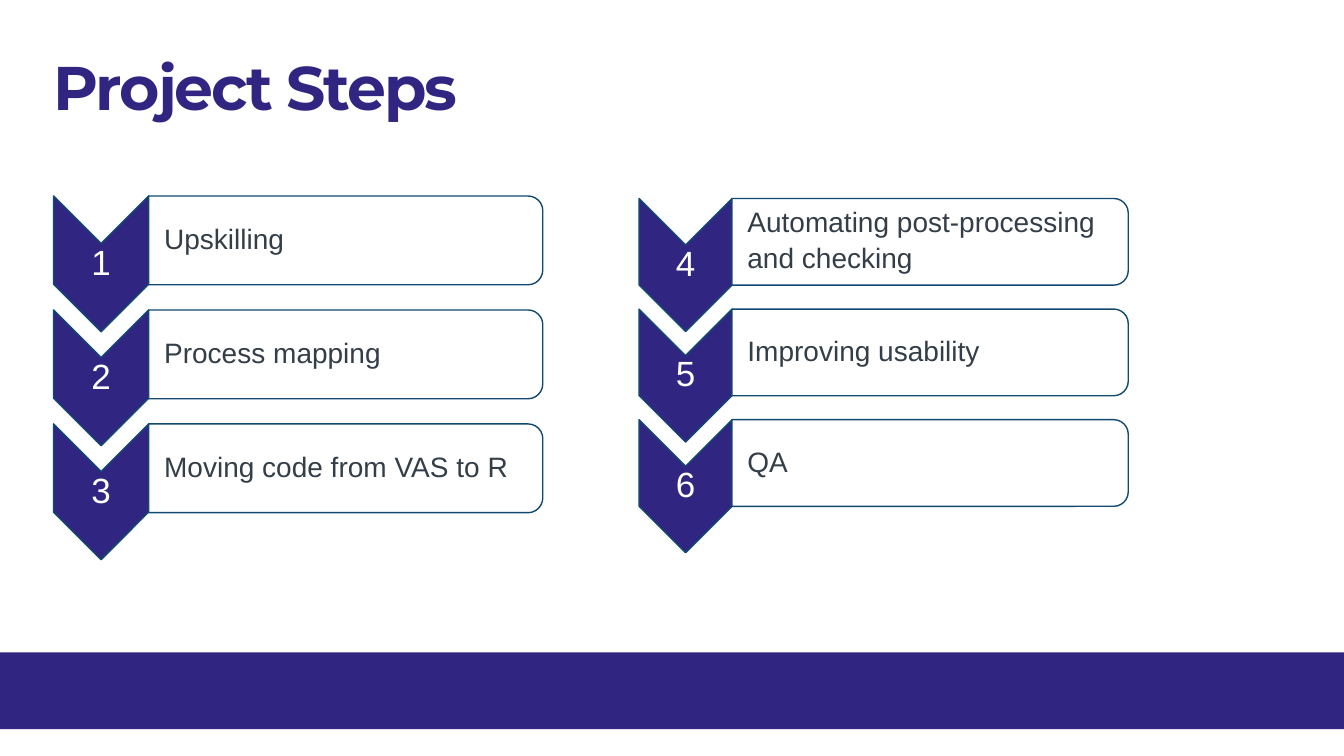
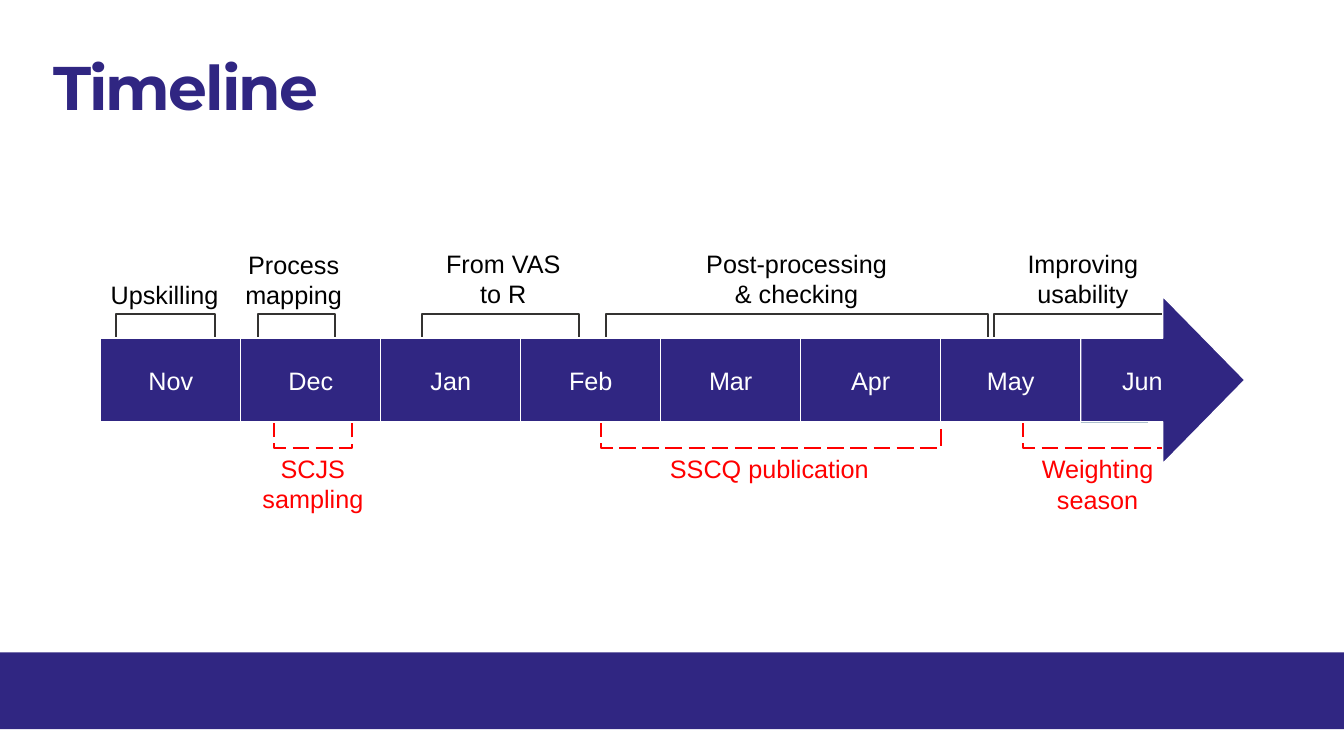
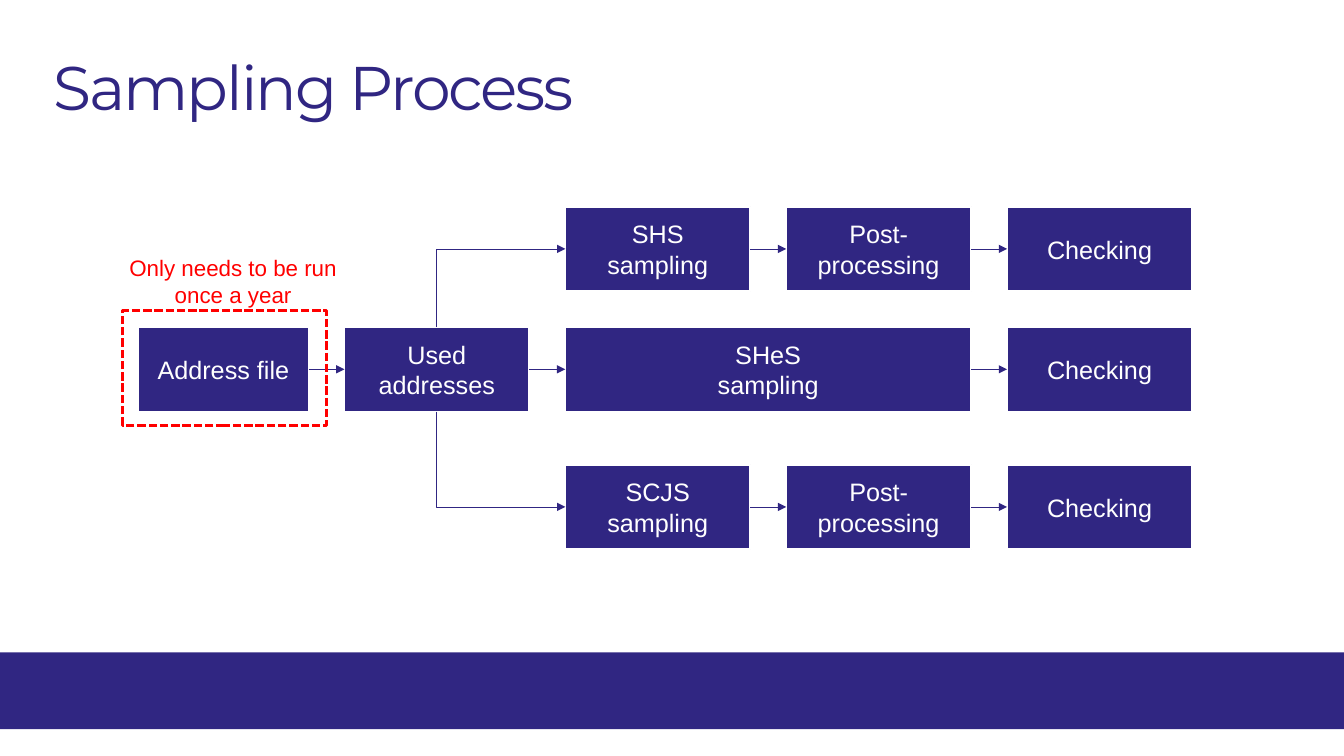
"""Build three project slides: steps, timeline and sampling process."""
from lxml import etree
from pptx import Presentation
from pptx.dml.color import RGBColor
from pptx.enum.dml import MSO_LINE
from pptx.enum.shapes import MSO_CONNECTOR, MSO_SHAPE
from pptx.enum.text import MSO_ANCHOR, MSO_AUTO_SIZE, PP_ALIGN
from pptx.oxml.ns import qn
from pptx.util import Pt

RECT, ARROW = MSO_SHAPE.RECTANGLE, MSO_SHAPE.RIGHT_ARROW
CHEVRON, ROUND = MSO_SHAPE.CHEVRON, MSO_SHAPE.ROUND_2_SAME_RECTANGLE
STRAIGHT, ELBOW = MSO_CONNECTOR.STRAIGHT, MSO_CONNECTOR.ELBOW
LEFT, MID = PP_ALIGN.LEFT, PP_ALIGN.CENTER
TOP, CENTRE = MSO_ANCHOR.TOP, MSO_ANCHOR.MIDDLE
HEX = {
    "main": "302682", "edge": "124971", "text": "333E48", "mark": "343331",
    "red": "FF0000", "white": "FFFFFF", "black": "000000",
}
RGB = {name: RGBColor.from_string(code) for name, code in HEX.items()}


def put(shape, text, size=18, color="white", font="Arial", bold=False, align=MID,
        anchor=CENTRE, pad=(7.2, 3.6), lead=1.0, after=0, track=0):
    frame = shape.text_frame
    frame.word_wrap = True
    frame.auto_size = MSO_AUTO_SIZE.NONE
    frame.vertical_anchor = anchor
    frame.margin_left = frame.margin_right = Pt(pad[0])
    frame.margin_top = frame.margin_bottom = Pt(pad[1])
    frame.text = text
    for para in frame.paragraphs:
        para.alignment = align
        para.line_spacing = lead
        para.space_after = Pt(after)
        for run in para.runs:
            run.font.size = Pt(size)
            run.font.name = font
            run.font.bold = bold
            run.font.color.rgb = RGB[color]
            if track:
                run.font._element.set("spc", str(track))


def draw(slide, kind, x, y, w, h, fill=None, line=None, weight=1, turn=False):
    if turn:
        x, y, w, h = x + (w - h) / 2, y + (h - w) / 2, h, w
    place = [Pt(n) for n in (x, y, w, h)]
    if kind is None:
        return slide.shapes.add_textbox(*place)
    shape = slide.shapes.add_shape(kind, *place)
    shape.shadow.inherit = False
    shape.rotation = 90 if turn else 0
    if fill:
        shape.fill.solid()
        shape.fill.fore_color.rgb = RGB[fill]
    else:
        shape.fill.background()
    if line:
        shape.line.color.rgb = RGB[line]
        shape.line.width = Pt(weight)
    else:
        shape.line.fill.background()
    return shape


prs = Presentation()
prs.slide_width, prs.slide_height = Pt(960), Pt(540)
layout = prs.slide_layouts[5]
head = layout.placeholders[0]
head.left, head.top, head.width, head.height = Pt(38.2), Pt(41), Pt(770), Pt(57)

slides = []
for title, bold in [("Project Steps", True), ("Timeline", True), ("Sampling Process", False)]:
    slide = prs.slides.add_slide(layout)
    put(slide.shapes.title, title, size=44, color="main", font="Montserrat", bold=bold,
        align=LEFT, anchor=TOP, pad=(0, 0), lead=0.9, track=-150)
    slides.append(slide)
steps, time, flow = slides

band = draw(steps, RECT, 0, 466, 960, 54.8, fill="main")
layout.shapes.element.insert(2, band.element)

columns = [
    (38.2, 140, 68, 97, 281.5, 63.4, 81.4,
     ["Upskilling", "Process mapping", "Moving code from VAS to R"]),
    (456.5, 141.8, 66.4, 95, 283, 61.9, 79,
     ["Automating post-processing\nand checking", "Improving usability", "QA"]),
]
count = 0
for x, top, wide, tall, length, high, step, labels in columns:
    for row, label in enumerate(labels):
        count += 1
        y = top + row * step
        draw(steps, CHEVRON, x, y, wide, tall, "main", "edge", turn=True)
        put(draw(steps, None, x, y + tall / 2 - 14, wide, 28), str(count), size=25,
            pad=(1.4, 1.4), lead=0.9)
        draw(steps, ROUND, x + wide, y, length, high, "white", "edge", turn=True)
        put(draw(steps, None, x + wide, y, length, high), label, size=20, color="text",
            align=LEFT, pad=(11, 0.7), lead=0.9, after=4)

spans = [(83, 153.3), (184.3, 239), (301.5, 413.8), (432.8, 706), (710, 833)]
busy = [(195.8, 251.3), (429, 672), (730.8, 833)]
marks = [(a, b, 242, 224.6, "mark") for a, b in spans]
marks += [(a, b, 300, 319.8, "red") for a, b in busy]
for a, b, base, edge, color in marks:
    pen = time.shapes.build_freeform(Pt(a), Pt(base))
    pen.add_line_segments([(Pt(a), Pt(edge)), (Pt(b), Pt(edge)), (Pt(b), Pt(base))], close=False)
    shape = pen.convert_to_shape()
    shape.shadow.inherit = False
    shape.fill.background()
    shape.line.color.rgb = RGB[color]
    shape.line.width = Pt(1.5)
    if color == "red":
        shape.line.dash_style = MSO_LINE.LONG_DASH

notes = [
    ("Upskilling", 72, 196, 100, "black", LEFT),
    ("Process mapping", 164, 174.5, 91.5, "black", MID),
    ("From VAS to R", 309.5, 174, 100, "black", MID),
    ("Post-processing\n& checking", 450, 173.5, 238, "black", MID),
    ("Improving usability", 723.5, 174, 100, "black", MID),
    ("SCJS\nsampling", 169, 320, 109, "red", MID),
    ("SSCQ publication", 471.5, 320.5, 172, "red", LEFT),
    ("Weighting season", 729.5, 320.5, 109, "red", MID),
]
for text, x, y, w, color, align in notes:
    put(draw(time, None, x, y, w, 51), text, color=color, align=align, anchor=TOP)

rule = time.shapes.add_connector(STRAIGHT, Pt(772), Pt(301.7), Pt(820), Pt(301.7))
rule.line.color.rgb = RGB["edge"]
rule.line.width = Pt(0.5)
etree.SubElement(rule.element.spPr, qn("a:effectLst"))

for i, month in enumerate(["Nov", "Dec", "Jan", "Feb", "Mar", "Apr", "May"]):
    put(draw(time, RECT, 72 + 100 * i, 241.5, 100, 60, "main", "white"), month)
put(draw(time, ARROW, 772, 211.7, 117.2, 119.5, "main", "white"), "Jun")

STEP, WIDE = 157.8, 132
tracks = [
    (147.6, [("SHS\nsampling", 1, 1), ("Post-\nprocessing", 2, 1), ("Checking", 3, 1)]),
    (233.6, [("Used\naddresses", 0, 1), ("SHeS\nsampling", 1, 2), ("Checking", 3, 1)]),
    (331.9, [("SCJS\nsampling", 1, 1), ("Post-\nprocessing", 2, 1), ("Checking", 3, 1)]),
]
grid = []
for y, cells in tracks:
    line = []
    for text, col, span in cells:
        box = draw(flow, RECT, 246 + col * STEP, y, WIDE + (span - 1) * STEP, 60.4,
                   "main", "white", 1.5)
        put(box, text)
        line.append(box)
    grid.append(line)
file = draw(flow, RECT, 98.6, 233.6, 122, 60.4, "main", "white", 1.5)
put(file, "Address file")
used = grid[1][0]

links = [(file, 3, used, STRAIGHT), (used, 0, grid[0][0], ELBOW), (used, 2, grid[2][0], ELBOW)]
links += [(a, 3, b, STRAIGHT) for line in grid for a, b in zip(line, line[1:])]
for start, site, end, kind in links:
    link = flow.shapes.add_connector(kind, 0, 0, 0, 0)
    link.begin_connect(start, site)
    link.end_connect(end, 1)
    link.line.color.rgb = RGB["main"]
    link.line.width = Pt(0.5)
    props = link.element.spPr
    etree.SubElement(props.find(qn("a:ln")), qn("a:tailEnd"), type="triangle")
    etree.SubElement(props, qn("a:effectLst"))
    if kind == ELBOW:
        guides = props.find(qn("a:prstGeom")).find(qn("a:avLst"))
        etree.SubElement(guides, qn("a:gd"), name="adj1", fmla="val 0")

frame = draw(flow, RECT, 87.8, 221.8, 145.4, 82, line="red", weight=2)
frame.line.dash_style = MSO_LINE.SQUARE_DOT
put(draw(flow, None, 77, 178, 179, 46), "Only needs to be run once a year", size=16,
    color="red", anchor=TOP)

prs.save("out.pptx")
